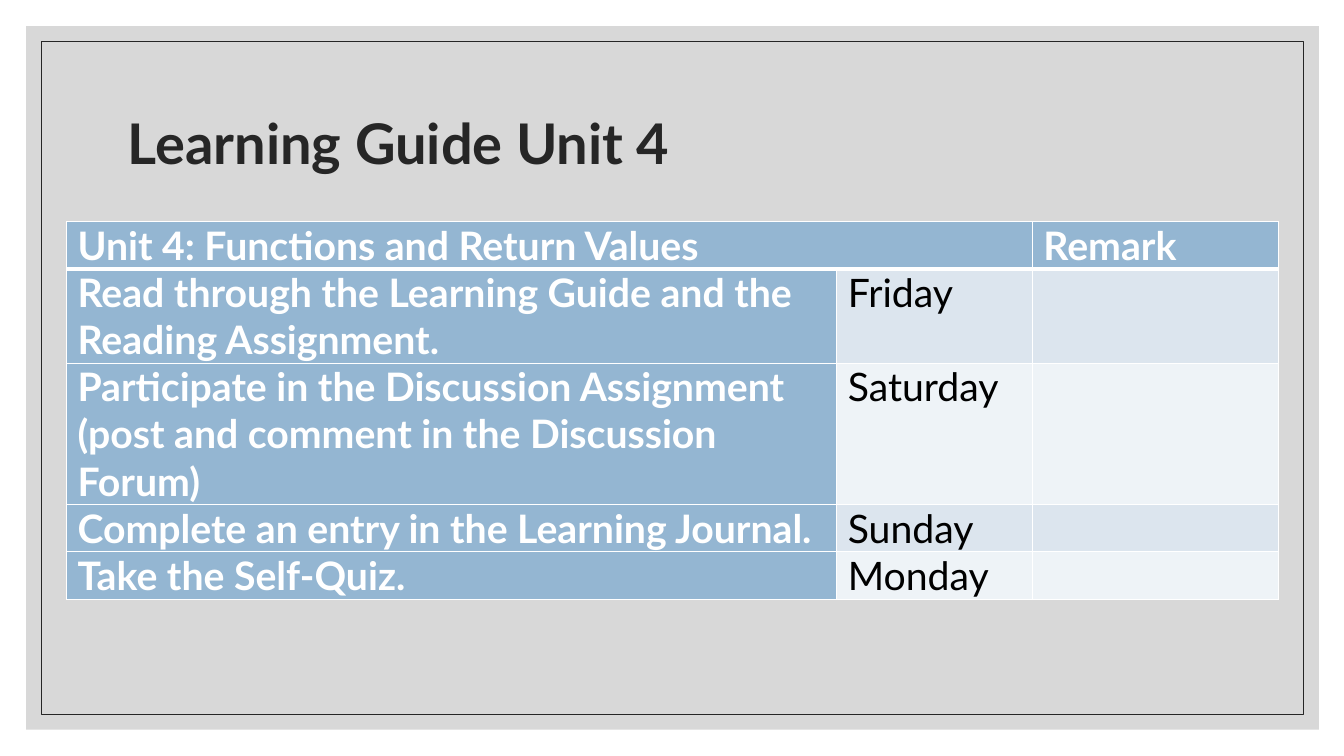
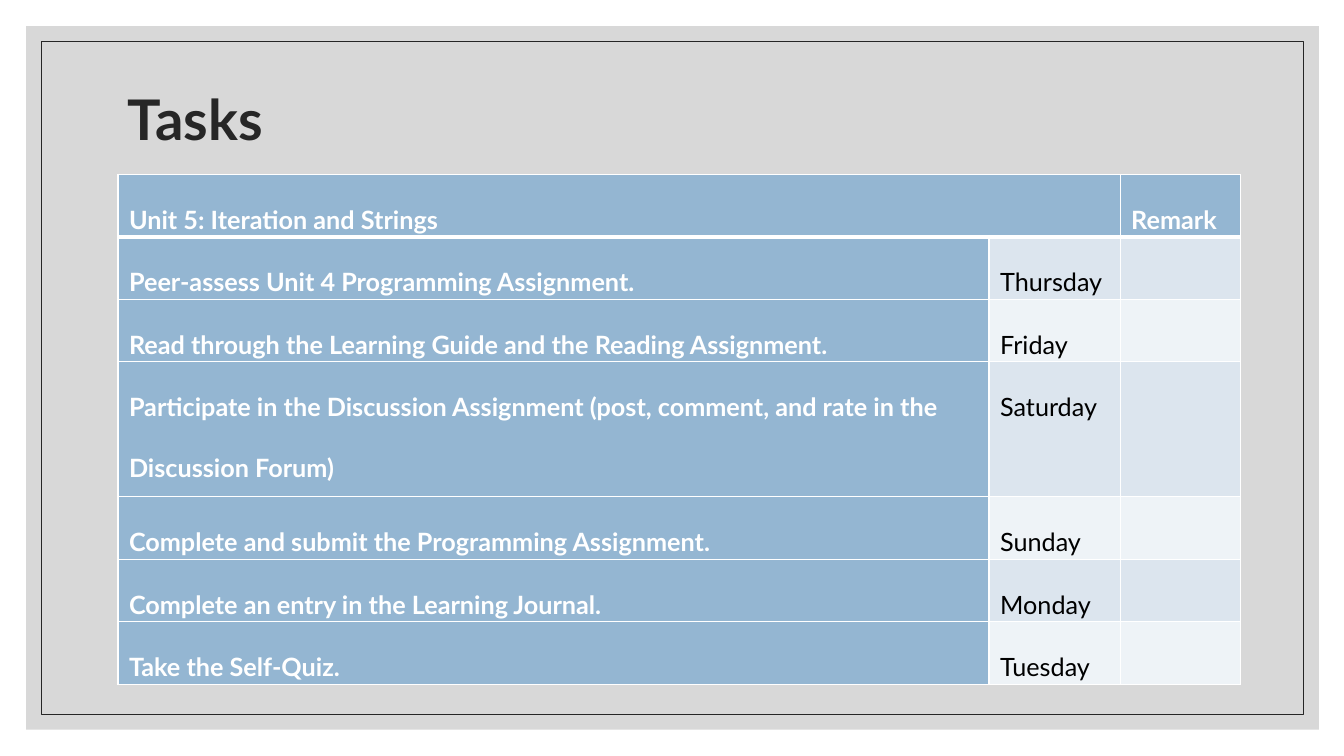
from dataclasses import dataclass

from lxml.etree import SubElement
from pptx import Presentation
from pptx.dml.color import RGBColor
from pptx.enum.shapes import MSO_SHAPE as Preset
from pptx.enum.text import MSO_ANCHOR as Anchor
from pptx.oxml import parse_xml
from pptx.oxml.ns import nsdecls, qn
from pptx.util import Inches, Pt

# Shared style
FONT = "Lato"
INK, WHITE, BLACK, GREY = "262626", "FFFFFF", "000000", "BFBFBF"
BLUE = "94B6D2"
BANDS = ("DCE5EE", "EEF3F7")
THIN, THICK = 1, 3


@dataclass
class Task:
    name: str
    day: str
    height: float


@dataclass
class Plan:
    title: str
    title_height: float
    unit: str
    left: float
    top: float
    columns: tuple[float, float, float]
    header_height: float
    text_size: int
    line_spacing: float
    tasks: list[Task]


PLANS = [
    Plan("Learning Guide Unit 4", 1.5, "Unit 4: Functions and Return Values",
         0.66, 2.2, (7.64, 1.94, 2.44), 0.47, 28, 1.0, [
             Task("Read through the Learning Guide and the Reading Assignment.",
                  "Friday", 0.93),
             Task("Participate in the Discussion Assignment "
                  "(post and comment in the Discussion Forum)", "Saturday", 1.4),
             Task("Complete an entry in the Learning Journal.", "Sunday", 0.47),
             Task("Take the Self-Quiz.", "Monday", 0.47),
         ]),
    Plan("Tasks", 1.03, "Unit 5: Iteration and Strings",
         1.17, 1.73, (8.64, 1.3, 1.19), 0.62, 18, 2.0, [
             Task("Peer-assess Unit 4 Programming Assignment.", "Thursday", 0.62),
             Task("Read through the Learning Guide and the Reading Assignment.",
                  "Friday", 0.62),
             Task("Participate in the Discussion Assignment (post, comment, "
                  "and rate in the Discussion Forum)", "Saturday", 1.34),
             Task("Complete and submit the Programming Assignment.", "Sunday", 0.62),
             Task("Complete an entry in the Learning Journal.", "Monday", 0.62),
             Task("Take the Self-Quiz.", "Tuesday", 0.62),
         ]),
]


def rgb(colour: str) -> RGBColor:
    return RGBColor.from_string(colour)


def add_run(paragraph, text: str, size: int, colour: str, bold: bool) -> None:
    run = paragraph.add_run()
    run.text = text
    run.font.name = FONT
    run.font.size = Pt(size)
    run.font.bold = bold
    run.font.color.rgb = rgb(colour)


def add_frame(slide) -> None:
    """Translucent grey panel with a thin outline inside it."""
    panel, outline = (
        slide.shapes.add_shape(Preset.RECTANGLE, *map(Inches, box))
        for box in ((0.26, 0.26, 12.82, 6.98), (0.41, 0.41, 12.52, 6.68)))
    panel.shadow.inherit = outline.shadow.inherit = False
    panel.fill.solid()
    panel.fill.fore_color.rgb = rgb(GREY)
    panel_colour = panel.fill._xPr.find(qn("a:solidFill"))[0]
    SubElement(panel_colour, qn("a:alpha")).set("val", "60000")
    panel.line.fill.background()
    outline.fill.background()
    outline.line.color.rgb = rgb(INK)
    outline.line.width = Pt(0.5)


def add_title(slide, text: str, height: float) -> None:
    title = slide.shapes.add_textbox(
        Inches(1.17), Inches(0.7), Inches(11), Inches(height)).text_frame
    title.word_wrap = True
    title.vertical_anchor = Anchor.MIDDLE
    title.paragraphs[0].line_spacing = 0.9
    add_run(title.paragraphs[0], text, 40, INK, True)


def set_borders(cell, top: float, bottom: float) -> None:
    properties = cell._tc.get_or_add_tcPr()
    sides = {"L": THIN, "R": THIN, "T": top, "B": bottom}
    for position, (side, width) in enumerate(sides.items()):
        properties.insert(position, parse_xml(
            f'<a:ln{side} {nsdecls("a")} w="{Pt(width)}"><a:solidFill>'
            f'<a:srgbClr val="{WHITE}"/></a:solidFill></a:ln{side}>'))


def fill_cell(cell, text: str, plan: Plan, fill: str, colour: str, bold: bool) -> None:
    cell.fill.solid()
    cell.fill.fore_color.rgb = rgb(fill)
    cell.margin_left = cell.margin_right = Inches(0.07)
    cell.margin_top = cell.margin_bottom = 0
    if text:
        paragraph = cell.text_frame.paragraphs[0]
        paragraph._p.get_or_add_pPr().set("marL", str(Inches(0.04)))
        paragraph.line_spacing = plan.line_spacing
        paragraph.space_after = Pt(12)
        add_run(paragraph, text, plan.text_size, colour, bold)


def add_schedule(slide, plan: Plan) -> None:
    heights = [plan.header_height] + [task.height for task in plan.tasks]
    schedule = slide.shapes.add_table(
        len(heights), len(plan.columns), Inches(plan.left), Inches(plan.top),
        Inches(sum(plan.columns)), Inches(sum(heights))).table
    schedule.first_row = schedule.horz_banding = False
    for column, width in zip(schedule.columns, plan.columns):
        column.width = Inches(width)
    for row, height in zip(schedule.rows, heights):
        row.height = Inches(height)

    # Header row, then one row per task
    schedule.cell(0, 0).merge(schedule.cell(0, 1))
    texts = [(plan.unit, "", "Remark")] + [(t.name, t.day, "") for t in plan.tasks]
    for r, row_texts in enumerate(texts):
        for c, text in enumerate(row_texts):
            cell = schedule.cell(r, c)
            heading = r == 0 or c == 0
            fill_cell(cell, text, plan, BLUE if heading else BANDS[(r - 1) % 2],
                      WHITE if heading else BLACK, heading)
            set_borders(cell, THICK if r == 1 else THIN, THICK if r == 0 else THIN)


def main() -> None:
    deck = Presentation()
    deck.slide_width, deck.slide_height = Inches(13.33), Inches(7.5)
    for plan in PLANS:
        slide = deck.slides.add_slide(deck.slide_layouts[6])
        add_frame(slide)
        add_title(slide, plan.title, plan.title_height)
        add_schedule(slide, plan)
    deck.save("out.pptx")


if __name__ == "__main__":
    main()
